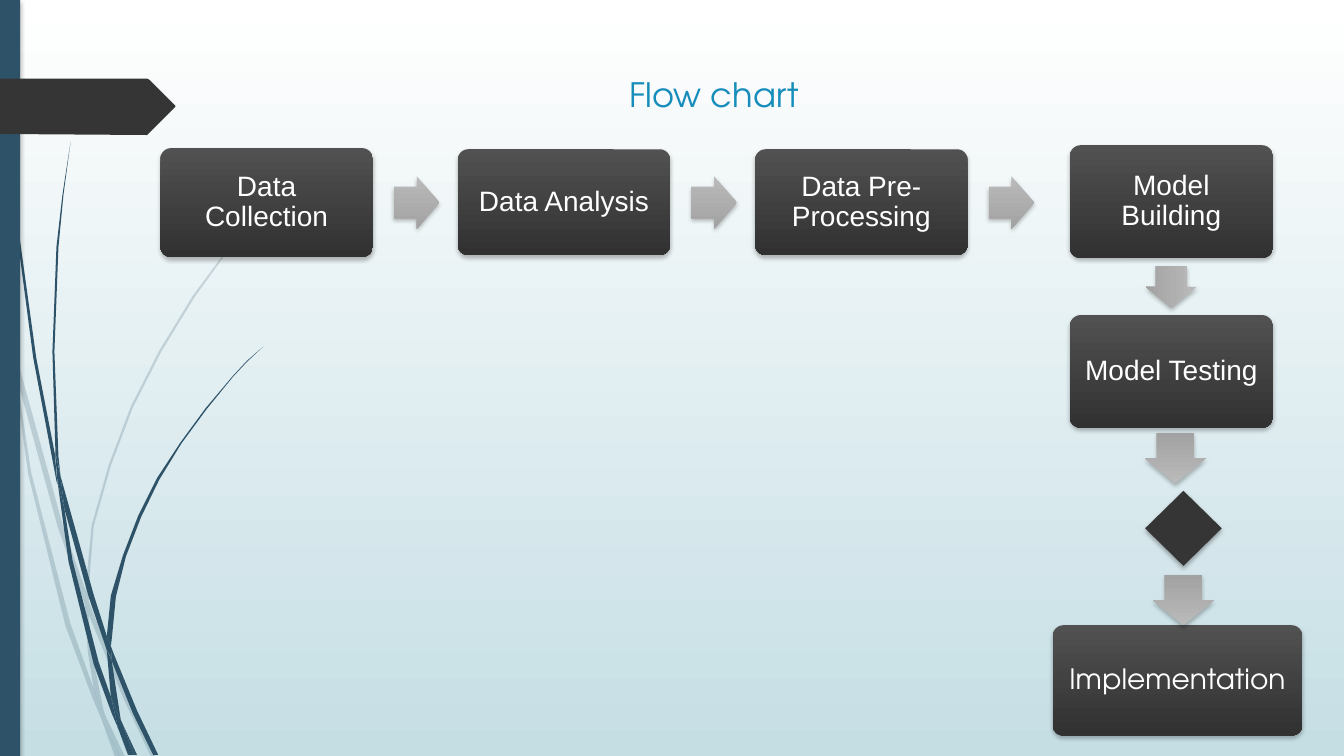
import pptx
import pptx.dml.color
import pptx.enum.shapes
import pptx.enum.text
import pptx.oxml
import pptx.oxml.ns
import pptx.util
from dataclasses import dataclass

Pt = pptx.util.Pt
SHAPE = pptx.enum.shapes.MSO_SHAPE


@dataclass(frozen=True)
class Theme:
    sky: tuple = ("FFFFFF", "C5DEE4")
    box: tuple = ("515151", "313131")
    arrow: tuple = ("BABABA", "A2A2A2")
    dark: str = "353535"
    grass: str = "2E5369"
    title: str = "178DBB"
    text: str = "FFFFFF"
    shadow: str = "000000"
    title_size: float = 24
    box_size: float = 20
    body_font: str = "Arial"
    display_font: str = "TeX Gyre Adventor"


THEME = Theme()

# Outlines use a grid of 0.72 pt (100 units to the inch)
GRID = 0.72
PALE_GRASS = [
    "11,350 8,322 0,282 0,299 10,344",
    "57,522 84,599 85,586 62,520 14,345 17,376",
    "92,607 88,596 88,610 123,694 150,751 155,751 127,691",
    "119,751 124,751 105,711",
    "93,683 70,619 31,469 17,376 11,350 28,470 65,621 92,693 101,714 99,707",
    "84,599 87,646 93,683 96,692 105,711 103,706 91,646 88,610 88,608",
    "88,584 93,522 110,462 132,404 160,349 193,295 229,245 268,198 290,175 312,153 "
    "289,175 268,197 228,244 191,294 158,348 130,403 108,461 91,521 85,584 85,586 88,596",
    "101,714 114,751 119,751",
    "88,608 88,610 88,596 85,586 84,599",
    "96,692 93,683 99,707 101,714 119,751 105,711",
]
DEEP_GRASS = [
    "7,110 17,233 33,355 56,477 57,481 55,457 55,453 36,355 19,232 8,109 5,48 4,0 3,0 4,48",
    "88,592 106,645 106,633 106,631 93,590 60,472 64,505",
    "113,649 110,641 111,656 132,708 152,749 157,749 136,705",
    "110,691 98,657 72,556 64,505 57,477 68,557 93,659 111,708 117,722 116,717",
    "60,472 58,453 54,349 58,245 63,193 70,141 62,193 56,245 52,349 55,449 60,471",
    "133,749 136,749 122,719",
    "57,477 64,505 60,472 55,449 55,453",
    "111,633 115,592 125,552 140,513 158,476 180,440 205,406 231,374 245,359 261,344 "
    "245,358 231,373 204,405 179,439 156,474 137,512 122,551 110,591 106,631 110,641",
    "117,722 127,749 131,749",
    "106,645 110,691 116,706 122,719 120,715 111,656 109,651",
    "106,645 109,650 111,656 110,641 106,631 106,633",
    "116,706 110,691 116,717 117,722 130,749 133,749 122,719",
]
PAGE_TAG = "0,78 146,78 148,79 173,104 174,105 174,106 173,107 148,132 146,134 0,133"


def rgb(color):
    return pptx.dml.color.RGBColor.from_string(color)


def fill_gradient(fill, colors, angle=90):
    fill.gradient()
    fill.gradient_angle = 360 - angle
    for stop, color in zip(fill.gradient_stops, colors):
        stop.color.rgb = rgb(color)


def fill_solid(sp, color, opacity=100):
    sp.shadow.inherit = False
    sp.line.fill.background()
    sp.fill.solid()
    sp.fill.fore_color.rgb = rgb(color)
    if opacity < 100:
        tint = sp._element.spPr.find(".//" + pptx.oxml.ns.qn("a:srgbClr"))
        alpha = pptx.oxml.parse_xml(
            f'<a:alpha {pptx.oxml.ns.nsdecls("a")} val="{opacity * 1000}"/>')
        tint.append(alpha)


def add_shadow(sp, opacity=25, blur=3, distance=2):
    sp.shadow.inherit = False
    effects = sp._element.spPr.find(pptx.oxml.ns.qn("a:effectLst"))
    effects.append(pptx.oxml.parse_xml(
        f'<a:outerShdw {pptx.oxml.ns.nsdecls("a")} blurRad="{Pt(blur)}" dist="{Pt(distance)}" '
        f'dir="5400000" algn="ctr" rotWithShape="0"><a:srgbClr val="{THEME.shadow}">'
        f'<a:alpha val="{opacity * 1000}"/></a:srgbClr></a:outerShdw>'))


def add_preset(s, kind, left, top, width, height):
    return s.shapes.add_shape(kind, Pt(left), Pt(top), Pt(width), Pt(height))


def add_outline(shapes, outline, color, opacity=100):
    points = [tuple(int(n) for n in pair.split(",")) for pair in outline.split()]
    builder = shapes.build_freeform(*points[0], scale=Pt(GRID))
    builder.add_line_segments(points[1:], close=True)
    fill_solid(builder.convert_to_shape(), color, opacity)


def add_grass(s, blades, opacity=100):
    group = s.shapes.add_group_shape()
    for blade in blades:
        add_outline(group.shapes, blade, THEME.grass, opacity)


def write(tf, text, size, color, font):
    tf.word_wrap = True
    p = tf.paragraphs[0]
    p.text = text
    p.alignment = pptx.enum.text.PP_ALIGN.CENTER
    r = p.runs[0]
    r.font.size = Pt(size)
    r.font.name = font
    r.font.color.rgb = rgb(color)


def add_title(s, text):
    sp = s.shapes.add_textbox(Pt(159), Pt(49), Pt(702), Pt(42.5))
    write(sp.text_frame, text, THEME.title_size, THEME.title, THEME.display_font)


def add_step(s, text, left, top, width, height, font=THEME.body_font):
    sp = add_preset(s, SHAPE.ROUNDED_RECTANGLE, left, top, width, height)
    sp.adjustments[0] = 0.1
    fill_gradient(sp.fill, THEME.box)
    sp.line.fill.background()
    add_shadow(sp)
    tf = sp.text_frame
    tf.margin_left = tf.margin_right = tf.margin_top = tf.margin_bottom = Pt(8)
    tf.vertical_anchor = pptx.enum.text.MSO_ANCHOR.MIDDLE
    write(tf, text, THEME.box_size, THEME.text, font)
    tf.paragraphs[0].line_spacing = 0.9


def add_arrow(s, left, top, width, height, rotation=0, angle=90):
    sp = add_preset(s, SHAPE.RIGHT_ARROW, left, top, width, height)
    sp.adjustments[0], sp.adjustments[1] = 0.6, 0.5
    sp.rotation = rotation
    fill_gradient(sp.fill, THEME.arrow, angle)
    sp.line.fill.background()
    add_shadow(sp)


def main():
    prs = pptx.Presentation()
    prs.slide_width, prs.slide_height = Pt(960), Pt(540)
    s = prs.slides.add_slide(prs.slide_layouts[6])

    # Backdrop: sky, grass, side bar and page tag
    fill_gradient(s.background.fill, THEME.sky)
    add_grass(s, PALE_GRASS, opacity=20)
    add_grass(s, DEEP_GRASS)
    bar = add_preset(s, SHAPE.RECTANGLE, 0, 0, 14.4, 540)
    fill_solid(bar, THEME.grass)
    add_shadow(bar)
    add_outline(s.shapes, PAGE_TAG, THEME.dark)

    add_title(s, "Flow chart")

    # Model steps, downwards
    add_step(s, "Model Building", 764, 103.7, 145.4, 80.6)
    add_arrow(s, 821.5, 186.5, 30.2, 36.7, rotation=90)
    add_step(s, "Model Testing", 764, 225, 145.4, 80.6)

    # Data steps, left to right, each followed by an arrow
    data_steps = [("Data Collection", 105.8, 77.8),
                  ("Data Analysis", 106.6, 75.6),
                  ("Data Pre-Processing", 106.6, 75.6)]
    for i, (text, top, height) in enumerate(data_steps):
        shift = 212.4 * i
        add_step(s, text, 114.5 + shift, top, 151.9, height)
        add_arrow(s, 281.5 + shift, 126, 32.4, 37.4)

    # Decision and final step
    add_step(s, "Implementation", 751.8, 446.6, 178.6, 78.8, THEME.display_font)
    decision = add_preset(s, SHAPE.DIAMOND, 818, 350.6, 54.7, 53.6)
    fill_solid(decision, THEME.dark)
    add_shadow(decision, opacity=32, blur=3.5, distance=2.2)
    for left, top in [(821.5, 305.3), (827.3, 406.8)]:
        add_arrow(s, left, top, 36, 43.9, rotation=90, angle=180)

    prs.save("out.pptx")


if __name__ == "__main__":
    main()
